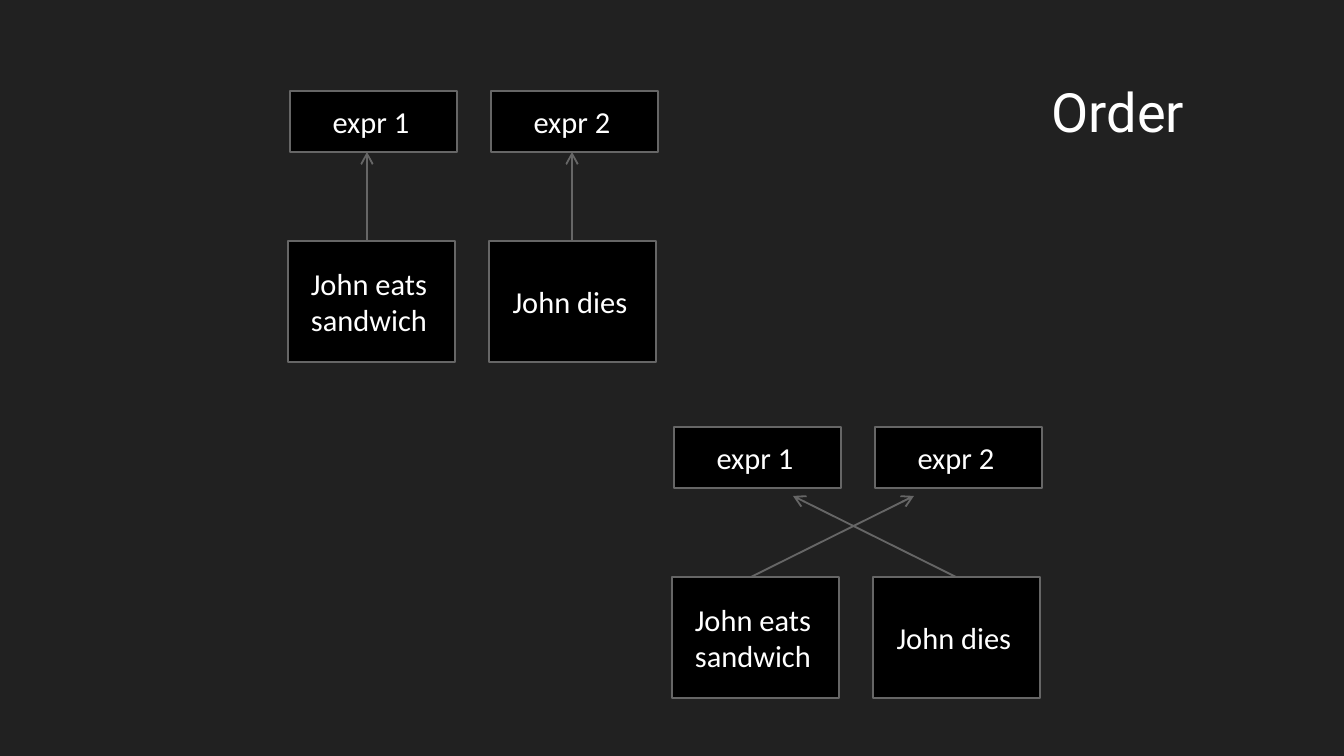
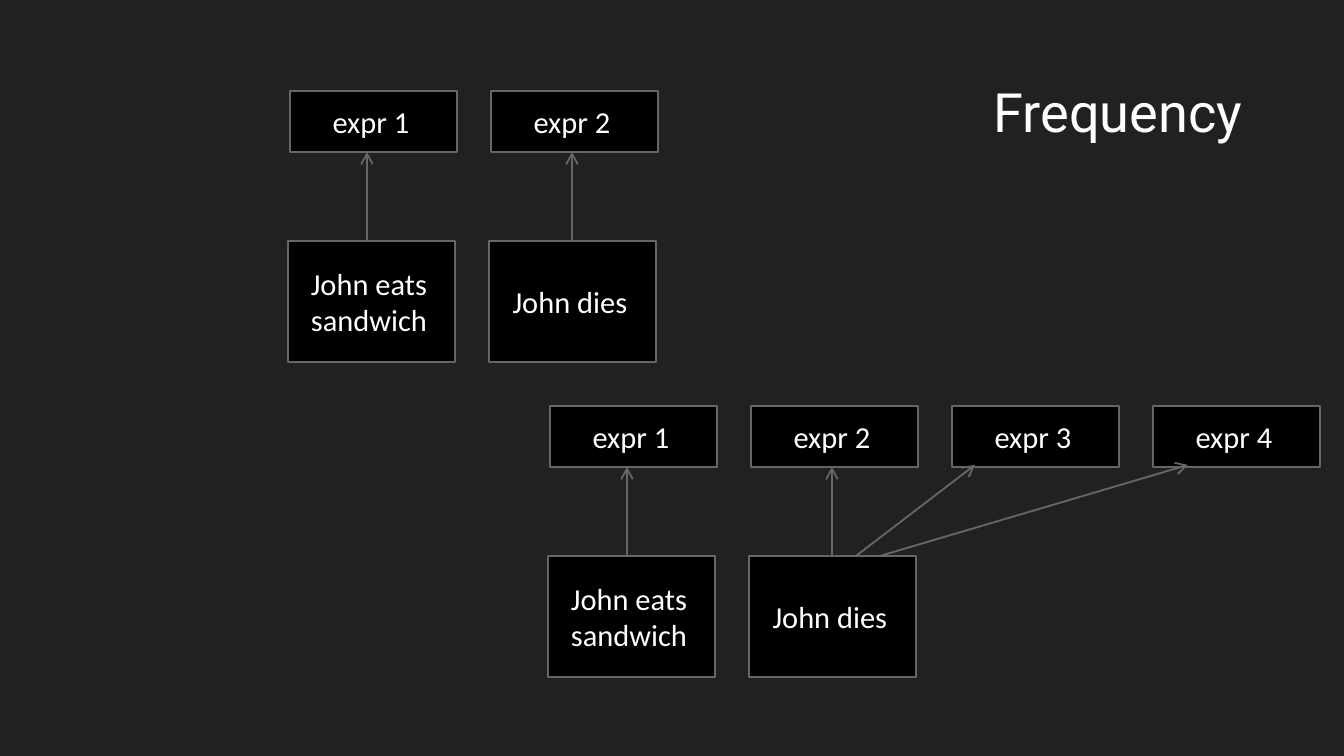
from dataclasses import dataclass

from lxml import etree
from pptx import Presentation
from pptx.dml.color import RGBColor
from pptx.enum.shapes import MSO_CONNECTOR, MSO_SHAPE
from pptx.enum.text import MSO_ANCHOR, MSO_AUTO_SIZE, PP_ALIGN
from pptx.oxml.ns import qn
from pptx.presentation import Presentation as Deck
from pptx.slide import Slide
from pptx.text.text import TextFrame
from pptx.util import Emu, Pt

RECTANGLE = MSO_SHAPE.RECTANGLE
STRAIGHT = MSO_CONNECTOR.STRAIGHT
MIDDLE = MSO_ANCHOR.MIDDLE
CENTER = PP_ALIGN.CENTER
NO_AUTOFIT = MSO_AUTO_SIZE.NONE

SLIDE_W, SLIDE_H = 1344, 756
EMU_PER_PX = 9144000 / SLIDE_W
TITLE_ONLY = 5

BOX_W, BOX_PITCH = 167, 201
EXPR_H, EVENT_H = 61, 121
EVENT_DX, EVENT_DY = -2, 150
TITLE_BOX = (964, 44, 308, 133)
BOX_INSETS = (7, 7, 12, 7)
NO_INSETS = (0, 0, 0, 0)


@dataclass(frozen=True)
class Theme:
    background: RGBColor = RGBColor(0x21, 0x21, 0x21)
    box: RGBColor = RGBColor(0x00, 0x00, 0x00)
    line: RGBColor = RGBColor(0x66, 0x66, 0x66)
    text: RGBColor = RGBColor(0xFF, 0xFF, 0xFF)
    title_font: str = "Roboto"
    box_font: str = "Calibri"
    title_size: float = 29
    box_size: float = 16.3
    line_width: float = 1


@dataclass(frozen=True)
class Arrow:
    x1: int
    x2: int
    y2: int = EXPR_H
    y1: int = EVENT_DY


@dataclass(frozen=True)
class Diagram:
    x: int
    y: int
    arrows: tuple[Arrow, ...]
    expr_count: int = 2


@dataclass(frozen=True)
class Topic:
    title: str
    diagrams: tuple[Diagram, ...]


THEME = Theme()
EVENTS = ("John eats\nsandwich", "John dies")
DIRECT = (Arrow(77, 77), Arrow(282, 282))
SWAPPED = (Arrow(77, 240, 69), Arrow(282, 119, 69))
REPEATED = DIRECT + (Arrow(330, 638, 59), Arrow(306, 425, 59))
BASELINE = Diagram(290, 91, DIRECT)
TOPICS = (
    Topic("Order", (BASELINE, Diagram(674, 427, SWAPPED))),
    Topic("Frequency", (BASELINE, Diagram(550, 406, REPEATED, 4))),
)


def px(value: int) -> Emu:
    return Emu(round(value * EMU_PER_PX))


def set_text(tf: TextFrame, text: str, font: str, size: float,
             insets: tuple[int, int, int, int]) -> None:
    tf.text = text
    tf.word_wrap = True
    tf.auto_size = NO_AUTOFIT
    tf.vertical_anchor = MIDDLE
    tf.margin_left, tf.margin_top, tf.margin_right, tf.margin_bottom = map(px, insets)
    for p in tf.paragraphs:
        p.alignment = CENTER
        p.font.name = font
        p.font.size = Pt(size)
        p.font.color.rgb = THEME.text


def add_box(s: Slide, text: str, x: int, y: int, height: int) -> None:
    sp = s.shapes.add_shape(RECTANGLE, px(x), px(y), px(BOX_W), px(height))
    sp.shadow.inherit = False
    sp.fill.solid()
    sp.fill.fore_color.rgb = THEME.box
    sp.line.color.rgb = THEME.line
    sp.line.width = Pt(THEME.line_width)
    set_text(sp.text_frame, text, THEME.box_font, THEME.box_size, BOX_INSETS)


def add_arrow(s: Slide, x: int, y: int, arrow: Arrow) -> None:
    cxn = s.shapes.add_connector(STRAIGHT, px(x + arrow.x1), px(y + arrow.y1),
                                 px(x + arrow.x2), px(y + arrow.y2))
    cxn.line.color.rgb = THEME.line
    cxn.line.width = Pt(THEME.line_width)
    etree.SubElement(cxn.line._get_or_add_ln(), qn("a:tailEnd"), type="arrow")
    etree.SubElement(cxn._element.spPr, qn("a:effectLst"))


def add_diagram(s: Slide, diagram: Diagram) -> None:
    x, y = diagram.x, diagram.y
    for i in range(diagram.expr_count):
        add_box(s, f"expr {i + 1}", x + i * BOX_PITCH, y, EXPR_H)
    for i, event in enumerate(EVENTS):
        add_box(s, event, x + EVENT_DX + i * BOX_PITCH, y + EVENT_DY, EVENT_H)
    for arrow in diagram.arrows:
        add_arrow(s, x, y, arrow)


def add_topic(prs: Deck, topic: Topic) -> None:
    s = prs.slides.add_slide(prs.slide_layouts[TITLE_ONLY])
    title = s.shapes.title
    title.left, title.top, title.width, title.height = map(px, TITLE_BOX)
    set_text(title.text_frame, topic.title, THEME.title_font, THEME.title_size, NO_INSETS)
    for diagram in topic.diagrams:
        add_diagram(s, diagram)


def main() -> None:
    prs = Presentation()
    prs.slide_width, prs.slide_height = px(SLIDE_W), px(SLIDE_H)
    fill = prs.slide_master.background.fill
    fill.solid()
    fill.fore_color.rgb = THEME.background
    for topic in TOPICS:
        add_topic(prs, topic)
    prs.save("out.pptx")


if __name__ == "__main__":
    main()
